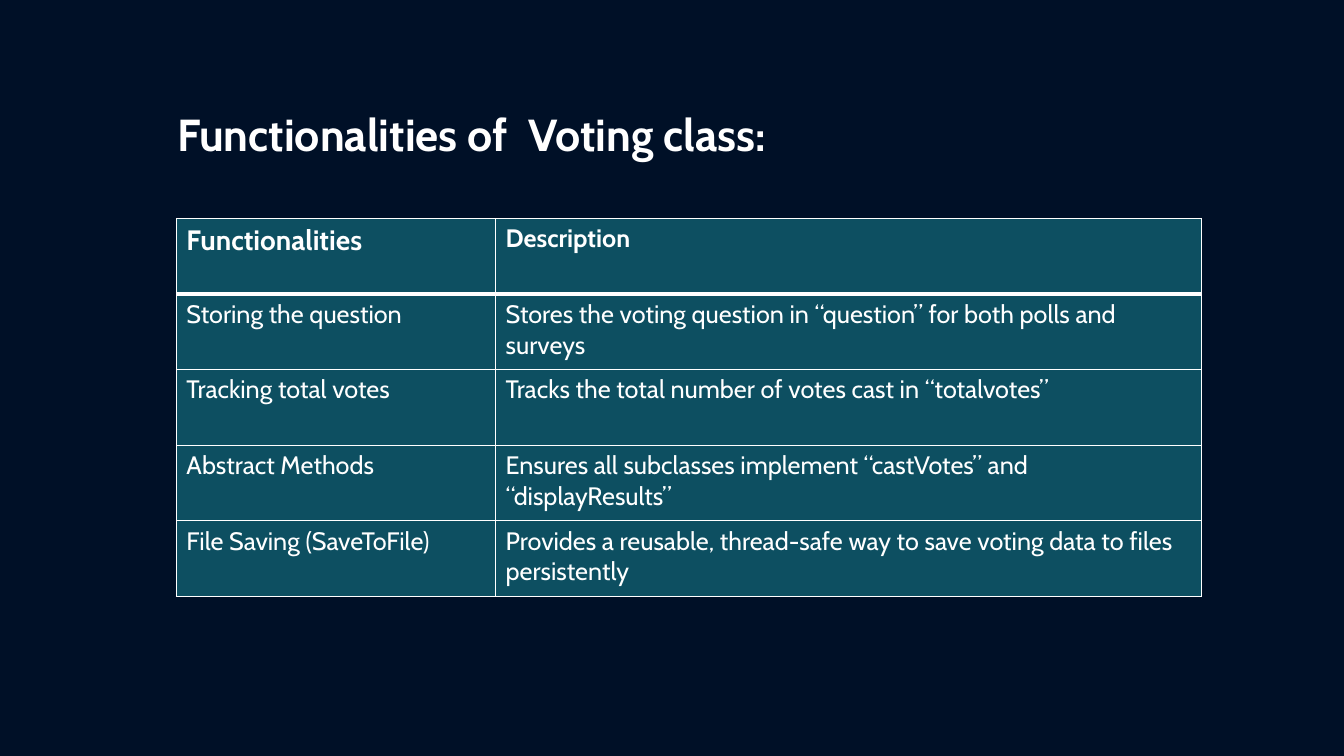
from lxml import etree
from pptx import Presentation
from pptx.dml.color import RGBColor
from pptx.enum.text import MSO_ANCHOR, MSO_AUTO_SIZE, PP_ALIGN
from pptx.oxml.ns import qn
from pptx.util import Pt

# Content
TITLE = "Functionalities of  Voting class:"
ROWS = [
    ("Functionalities", "Description"),
    ("Storing the question",
     "Stores the voting question in “question” for both polls and surveys"),
    ("Tracking total votes",
     "Tracks the total number of votes cast in “totalvotes”"),
    ("Abstract Methods",
     "Ensures all subclasses implement “castVotes” and “displayResults”"),
    ("File Saving (SaveToFile)",
     "Provides a reusable, thread-safe way to save voting data to files persistently"),
]

# Look
NAVY = RGBColor(0x00, 0x10, 0x27)
TEAL = RGBColor(0x0D, 0x4F, 0x61)
WHITE = RGBColor(0xFF, 0xFF, 0xFF)
LEFT, TOP, MIDDLE = PP_ALIGN.LEFT, MSO_ANCHOR.TOP, MSO_ANCHOR.MIDDLE
NO_FIT = MSO_AUTO_SIZE.NONE
FACE = "Cabin"

# Lengths in px, 96 to the inch
PX = 9525
SLIDE = (1280, 720)
HEAD = (159, 96, 656, 62)
GRID = (168, 208)
COLS = (304, 672)
ROW = 72
THIN, THICK = 1, 3


def style(par, size, bold):
    par.alignment = LEFT
    form = {"name": FACE, "size": Pt(size), "bold": bold}
    for key, value in form.items():
        setattr(par.font, key, value)
    par.font.color.rgb = WHITE


def border(cell, sides):
    props = cell._tc.get_or_add_tcPr()
    for spot, (side, width) in enumerate(sides.items()):
        line = etree.Element(qn("a:ln" + side), w=str(Pt(width)))
        fill = etree.SubElement(line, qn("a:solidFill"))
        etree.SubElement(fill, qn("a:srgbClr"), val=str(WHITE))
        props.insert(spot, line)


def add_title(slide):
    title = slide.shapes.title
    title.left, title.top, title.width, title.height = [n * PX for n in HEAD]
    frame = title.text_frame
    frame.text = TITLE
    form = {"word_wrap": True, "auto_size": NO_FIT, "vertical_anchor": MIDDLE}
    for key, value in form.items():
        setattr(frame, key, value)
    style(frame.paragraphs[0], 32, True)


def add_grid(slide):
    size = (sum(COLS), ROW * len(ROWS))
    box = [n * PX for n in GRID + size]
    table = slide.shapes.add_table(len(ROWS), len(COLS), *box).table
    for col, width in zip(table.columns, COLS):
        col.width = width * PX
    for r, texts in enumerate(ROWS):
        table.rows[r].height = ROW * PX
        for c, text in enumerate(texts):
            cell = table.cell(r, c)
            cell.text = text
            cell.vertical_anchor = TOP
            cell.fill.solid()
            cell.fill.fore_color.rgb = TEAL
            # The heavy rule is shared by the header and the row below it
            border(cell, {"L": THIN, "R": THIN,
                          "T": THICK if r == 1 else THIN,
                          "B": THICK if r == 0 else THIN})
            size = 20 if (r, c) == (0, 0) else 18
            style(cell.text_frame.paragraphs[0], size, r == 0)


def main():
    deck = Presentation()
    deck.slide_width, deck.slide_height = [n * PX for n in SLIDE]
    slide = deck.slides.add_slide(deck.slide_layouts[5])
    back = slide.background.fill
    back.solid()
    back.fore_color.rgb = NAVY
    add_title(slide)
    add_grid(slide)
    deck.save("out.pptx")


if __name__ == "__main__":
    main()
